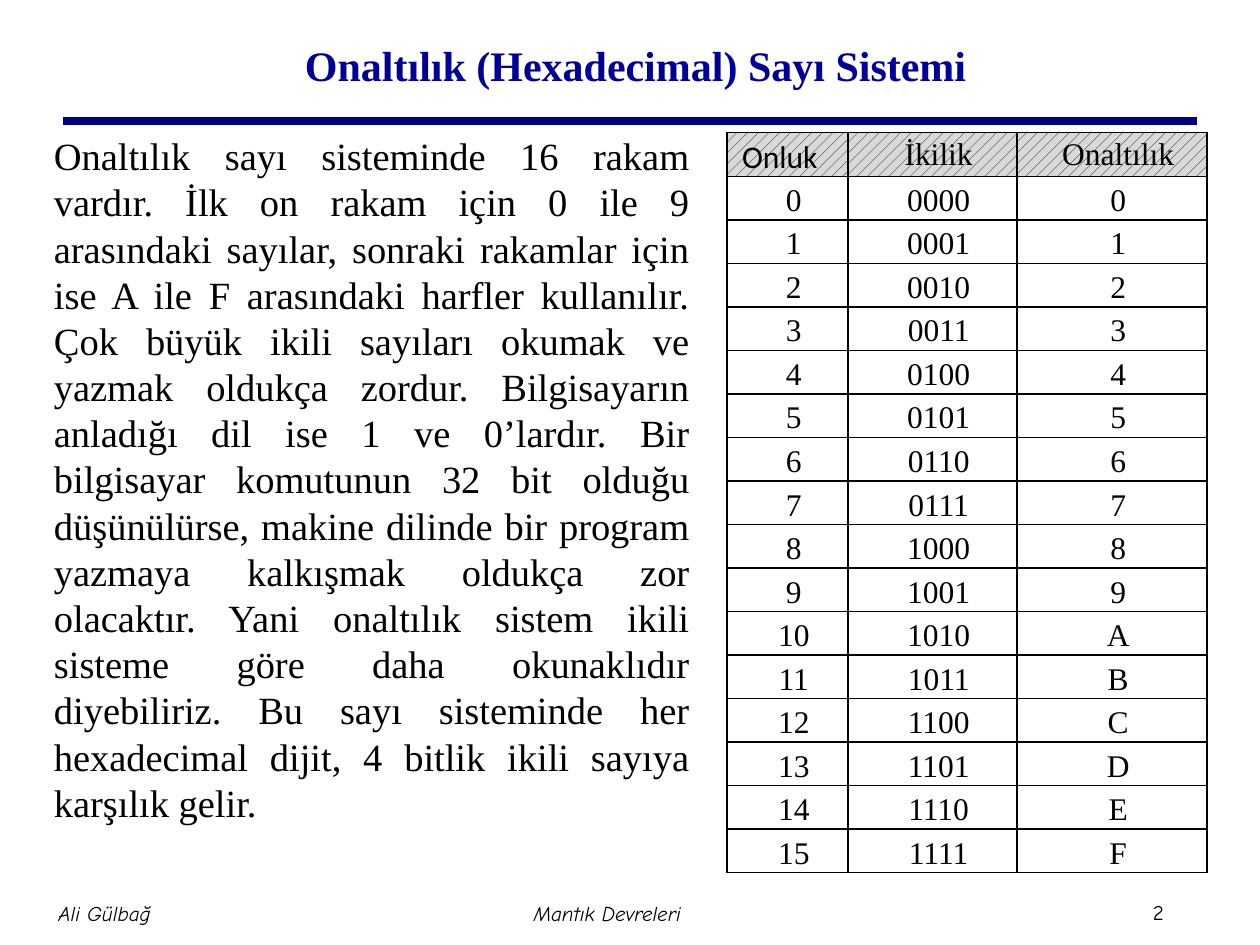
from dataclasses import dataclass
from lxml.etree import SubElement
from pptx import Presentation
from pptx.dml.color import RGBColor
from pptx.enum.dml import MSO_PATTERN
from pptx.enum.shapes import MSO_CONNECTOR
from pptx.enum.text import MSO_ANCHOR as Anchor, PP_ALIGN as Align
from pptx.oxml.ns import qn
from pptx.util import Inches, Pt


@dataclass(frozen=True)
class Theme:
    title_color: str = "000099"
    rule_color: str = "000080"
    ink: str = "000000"
    header_back: str = "D9D9D9"
    serif: str = "Times New Roman"
    sans: str = "Calibri"
    footer_font: str = "Comic Neue"
    title_size: float = 24
    body_size: float = 22
    body_leading: float = 26.4
    table_size: float = 18
    footer_size: float = 12


@dataclass(frozen=True)
class Area:
    """A place on a grid of 100 columns by 75 rows."""
    column: float
    row: float
    columns: float
    rows: float

    def box(self):
        return tuple(map(grid, (self.column, self.row, self.columns, self.rows)))


@dataclass(frozen=True)
class Footer:
    text: str
    area: Area
    italic: bool = True
    align: Align = Align.CENTER


THEME = Theme()
TITLE = "Onaltılık (Hexadecimal) Sayı Sistemi"
BODY = (
    "Onaltılık sayı sisteminde 16 rakam vardır. İlk on rakam için 0 ile 9 "
    "arasındaki sayılar, sonraki rakamlar için ise A ile F arasındaki harfler "
    "kullanılır. Çok büyük ikili sayıları okumak ve yazmak oldukça zordur. "
    "Bilgisayarın anladığı dil ise 1 ve 0’lardır. Bir bilgisayar komutunun 32 bit "
    "olduğu düşünülürse, makine dilinde bir program yazmaya kalkışmak oldukça zor "
    "olacaktır. Yani onaltılık sistem ikili sisteme göre daha okunaklıdır "
    "diyebiliriz. Bu sayı sisteminde her hexadecimal dijit, 4 bitlik ikili sayıya "
    "karşılık gelir."
)
FOOTERS = (
    Footer("2", Area(91, 70.9, 4.7, 3), italic=False, align=Align.LEFT),
    Footer("Ali Gülbağ", Area(-9.6, 70, 35.8, 5)),
    Footer("Mantık Devreleri", Area(30.3, 70, 35.8, 5)),
)
HEADERS = ("Onluk", "İkilik", "Onaltılık")
NUMBERS = range(16)
TABLE_AREA = Area(57.7, 10.5, 38.1, 54.4)
COLUMN_WIDTHS = (9.6, 13.4, 15.1)
HEADER_ROWS = 3.5


def grid(units: float) -> int:
    return Inches(units / 10)


def color(value: str) -> RGBColor:
    return RGBColor.from_string(value)


def write(frame, text: str, *, size: float, font: str = THEME.serif,
          ink: str = THEME.ink, bold: bool = False, italic: bool = False,
          align: Align = Align.CENTER, leading=None):
    paragraph = frame.paragraphs[0]
    paragraph.alignment = align
    if leading is not None:
        paragraph.line_spacing = leading
    run = paragraph.add_run()
    run.text = text
    run.font.name, run.font.size = font, Pt(size)
    run.font.bold, run.font.italic = bold, italic
    run.font.color.rgb = color(ink)
    return paragraph


def add_text(slide, area: Area, text: str, *, anchor: Anchor = Anchor.MIDDLE,
             inset: float | None = None, **style) -> None:
    frame = slide.shapes.add_textbox(*area.box()).text_frame
    frame.word_wrap = True
    frame.vertical_anchor = anchor
    if inset is not None:
        frame.margin_left = frame.margin_right = Inches(inset)
        frame.margin_top = frame.margin_bottom = Inches(inset)
    write(frame, text, **style)


def add_rule(slide) -> None:
    rule = slide.shapes.add_connector(
        MSO_CONNECTOR.STRAIGHT, grid(5), grid(9.6), grid(95), grid(9.6))
    rule.line.color.rgb = color(THEME.rule_color)
    rule.line.width = Pt(4.5)
    SubElement(rule._element.spPr, qn("a:effectLst"))


def add_borders(cell) -> None:
    properties = cell._tc.get_or_add_tcPr()
    for position, side in enumerate(("lnL", "lnR", "lnT", "lnB")):
        line = properties.makeelement(qn(f"a:{side}"), {"w": str(Pt(1))})
        fill = SubElement(line, qn("a:solidFill"))
        SubElement(fill, qn("a:srgbClr"), val=THEME.ink)
        properties.insert(position, line)


def fill_cell(cell, text: str, *, header: bool, first: bool) -> None:
    cell.margin_left = cell.margin_right = Inches(0.02)
    cell.margin_top = cell.margin_bottom = 0
    cell.vertical_anchor = Anchor.TOP if header else Anchor.MIDDLE
    label = header and first
    paragraph = write(
        cell.text_frame, text, size=THEME.table_size, leading=1.15,
        font=THEME.sans if label else THEME.serif,
        align=Align.JUSTIFY if label else Align.CENTER)
    paragraph._p.get_or_add_pPr().set("marL", str(Inches(0.1)))
    if header:
        cell.fill.patterned()
        cell.fill.pattern = MSO_PATTERN.PERCENT_20
        cell.fill.fore_color.rgb = color(THEME.ink)
        cell.fill.back_color.rgb = color(THEME.header_back)
    else:
        cell.fill.background()
    add_borders(cell)


def add_number_table(slide) -> None:
    rows = [HEADERS] + [(f"{n}", f"{n:04b}", f"{n:X}") for n in NUMBERS]
    table = slide.shapes.add_table(
        len(rows), len(HEADERS), *TABLE_AREA.box()).table
    table.first_row = table.horz_banding = False
    for column, width in zip(table.columns, COLUMN_WIDTHS):
        column.width = grid(width)
    number_rows = (TABLE_AREA.rows - HEADER_ROWS) / len(NUMBERS)
    for row_index, values in enumerate(rows):
        header = row_index == 0
        table.rows[row_index].height = grid(HEADER_ROWS if header else number_rows)
        for column_index, value in enumerate(values):
            fill_cell(table.cell(row_index, column_index), value,
                      header=header, first=column_index == 0)


def main() -> None:
    presentation = Presentation()
    presentation.slide_width, presentation.slide_height = grid(100), grid(75)
    slide = presentation.slides.add_slide(presentation.slide_layouts[6])
    add_rule(slide)
    for footer in FOOTERS:
        add_text(slide, footer.area, footer.text, inset=0.05,
                 size=THEME.footer_size, font=THEME.footer_font,
                 italic=footer.italic, align=footer.align)
    add_text(slide, Area(5.9, 0.8, 89.1, 8.6), TITLE, size=THEME.title_size,
             ink=THEME.title_color, bold=True)
    add_text(slide, Area(3.3, 10, 52.4, 55.5), BODY, anchor=Anchor.TOP,
             size=THEME.body_size, align=Align.JUSTIFY,
             leading=Pt(THEME.body_leading))
    add_number_table(slide)
    presentation.save("out.pptx")


if __name__ == "__main__":
    main()
